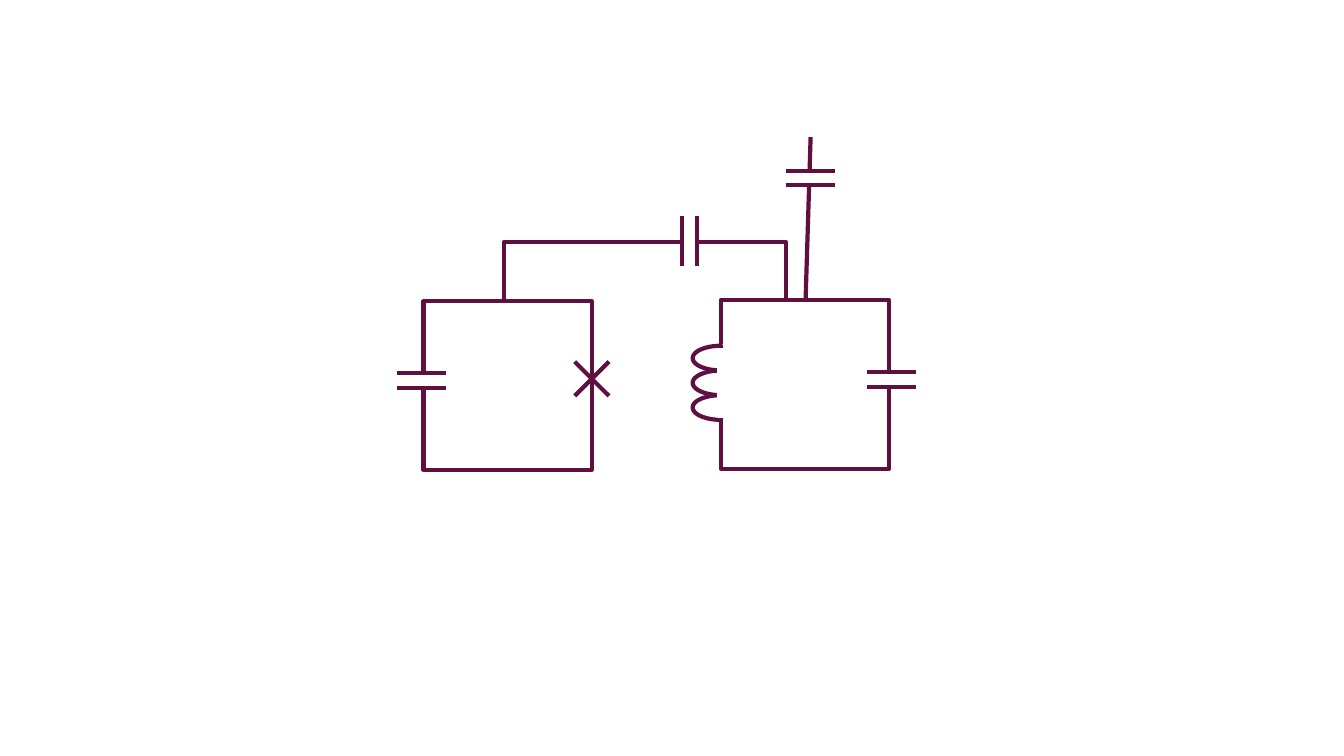
from dataclasses import dataclass
from math import cos, pi, sin
from pptx import Presentation
from pptx.dml.color import RGBColor as RGB
from pptx.enum.shapes import MSO_CONNECTOR as LINK, MSO_SHAPE as SHAPE
from pptx.oxml.ns import qn
from pptx.util import Inches, Pt
from lxml import etree


@dataclass(frozen=True)
class Theme:
    wire: RGB = RGB(0x5F, 0x0F, 0x40)
    paper: RGB = RGB(0xFF, 0xFF, 0xFF)
    wire_width: Pt = Pt(3)
    mask_width: Pt = Pt(1)


T = Theme()
COLS, ROWS = 1333, 750
PLATE, GAP = 49, 14
MASK_LENGTH, MASK_WIDTH = 61, 9

prs = Presentation()
prs.slide_width, prs.slide_height = Inches(13.33), Inches(7.5)
CELL_W, CELL_H = prs.slide_width / COLS, prs.slide_height / ROWS
s = prs.slides.add_slide(prs.slide_layouts[6])


def grid(x, y):
    return round(x * CELL_W), round(y * CELL_H)


def stroke(sp, color=T.wire, width=T.wire_width):
    sp.line.color.rgb = color
    sp.line.width = width


def connect(start, end, kind=LINK.STRAIGHT, preset=None):
    c = s.shapes.add_connector(kind, *grid(*start), *grid(*end))
    stroke(c)
    sp_pr = c._element.spPr
    etree.SubElement(sp_pr, qn("a:effectLst"))
    if preset:
        sp_pr.find(qn("a:prstGeom")).set("prst", preset)


def rect(x, y, w, h, masked=False, turn=0):
    sp = s.shapes.add_shape(SHAPE.RECTANGLE, *grid(x, y), *grid(w, h))
    sp.shadow.inherit = False
    sp.rotation = turn
    if masked:
        sp.fill.solid()
        sp.fill.fore_color.rgb = T.paper
        stroke(sp, T.paper, T.mask_width)
    else:
        sp.fill.background()
        stroke(sp)


def mask(cx, cy, turn=0):
    rect(cx - MASK_LENGTH / 2, cy - MASK_WIDTH / 2,
         MASK_LENGTH, MASK_WIDTH, True, turn)


def capacitor(cx, cy, upright=False):
    for across in (-GAP / 2, GAP / 2):
        ends = [(along, across) for along in (-PLATE / 2, PLATE / 2)]
        if upright:
            ends = [(b, a) for a, b in ends]
        connect(*[(cx + dx, cy + dy) for dx, dy in ends])
    mask(cx, cy, 90 if upright else 0)


def junction(cx, cy, size=34):
    r = size / 2
    for slope in (1, -1):
        connect((cx - r, cy - slope * r), (cx + r, cy + slope * r))


def inductor(x, y, w, h, turns=3, steps=24):
    mask(x + w, y + h * 0.4, 90)
    pitch = h / turns
    for i in range(turns):
        cy = y + pitch * (i + 0.5)
        arc = [grid(x + w - w * sin(pi * k / steps),
                    cy - pitch / 2 * cos(pi * k / steps))
               for k in range(steps + 1)]
        builder = s.shapes.build_freeform(*arc[0], scale=1.0)
        builder.add_line_segments(arc[1:], close=True)
        sp = builder.convert_to_shape()
        sp.shadow.inherit = False
        sp.fill.background()
        stroke(sp)
    rect(x + w - 3, y + 3, 32, h - 6, True)


def qubit(x, y, w, h):
    rect(x, y, w, h)
    capacitor(x - 2, y + h * 0.47)
    junction(x + w, y + h * 0.46)


def resonator(x, y, w, h):
    rect(x, y, w, h)
    capacitor(x + w + 2, y + h * 0.47)
    inductor(x - 28, y + h * 0.27, 28, h * 0.44)


def coupler(x, y, w, h):
    cx = x + w / 2
    capacitor(cx, y - 1, upright=True)
    connect((cx - GAP / 2, y), (x, y + h), LINK.ELBOW, "bentConnector2")
    connect((x + w, y + h - 1), (cx + GAP / 2, y), LINK.ELBOW)


def feedline(x, y, w, h):
    connect((x + w, y), (x, y + h))
    capacitor(x + w, y + h / 4)


qubit(420, 299, 167, 167)
resonator(715, 298, 167, 167)
coupler(500, 240, 368, 59)
feedline(799, 136, 5, 162)

prs.save("out.pptx")
